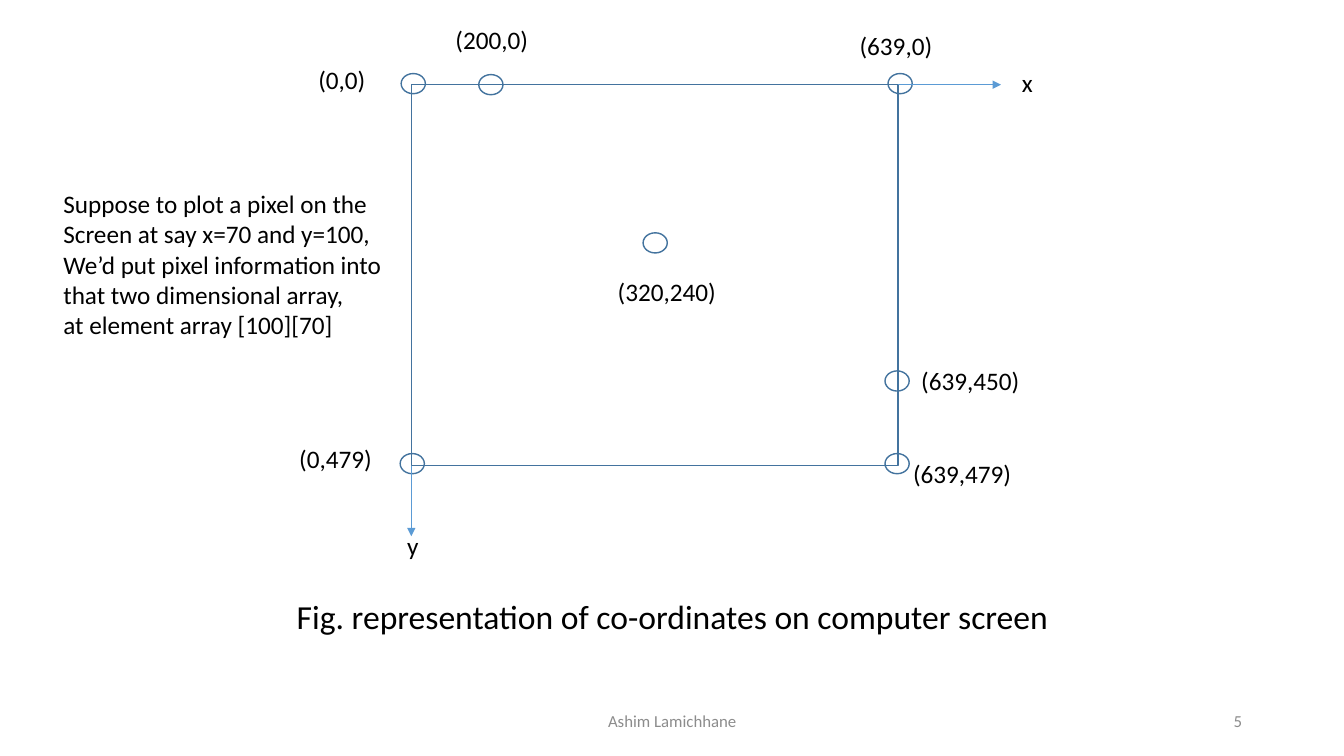
from lxml import etree
from pptx import Presentation, util as u
from pptx.dml.color import RGBColor
from pptx.enum import shapes, text
from pptx.oxml import ns

CELL = u.Inches(0.1)  # the slide is a grid of 133.33 columns by 75 rows
LEFT, RIGHT, MID = text.PP_ALIGN.LEFT, text.PP_ALIGN.RIGHT, text.PP_ALIGN.CENTER
EDGE, AXIS, BLACK, GREY = "43739E", "5B9BD5", "000000", "8C8C8C"


def grid(*cells):
    """Turn grid columns and rows into lengths."""
    return [round(c * CELL) for c in cells]


def write(spot, words, size=18, hue=BLACK, align=LEFT, wrap=False):
    """Add a text box; wrapped boxes are centred vertically."""
    box = slide.shapes.add_textbox(*grid(*spot))
    frame = box.text_frame
    frame.text = words
    frame.word_wrap = wrap
    if wrap:
        frame.vertical_anchor = text.MSO_ANCHOR.MIDDLE
    else:
        frame.auto_size = text.MSO_AUTO_SIZE.SHAPE_TO_FIT_TEXT
    for para in frame.paragraphs:
        para.alignment = align
        for run in para.runs:
            run.font.name = "Calibri"
            run.font.size = u.Pt(size)
            run.font.color.rgb = RGBColor.from_string(hue)
    return box


deck = Presentation()
deck.slide_width, deck.slide_height = grid(133.33, 75)
slide = deck.slides.add_slide(deck.slide_layouts[6])

# Caption and footer
title = write((9.2, 58, 115, 6.7),
              "Fig. representation of co-ordinates on computer screen",
              24, align=MID, wrap=True)
title.text_frame.paragraphs[0].line_spacing = 0.9
write((44.2, 69.5, 45, 4), "Ashim Lamichhane", 12, GREY, MID, True)
write((94.2, 69.5, 30, 4), "5", 12, GREY, RIGHT, True)

# Screen outline, then a ring on each marked pixel
west, north, wide, high = 40.8, 8.4, 48.3, 37.8
east, south = west + wide, north + high
ring_w, ring_h = 2.4, 2
rings = [(48.7, 8.4), (41, 8.3), (89.3, 8.3), (65, 24.1),
         (89, 37.8), (89, 46), (40.9, 46)]
kind = shapes.MSO_SHAPE
marks = [(kind.RECTANGLE, (west, north, wide, high))]
marks += [(kind.OVAL, (x - ring_w / 2, y - ring_h / 2, ring_w, ring_h))
          for x, y in rings]
for form, spot in marks:
    mark = slide.shapes.add_shape(form, *grid(*spot))
    mark.shadow.inherit = False
    mark.fill.background()
    mark.line.color.rgb = RGBColor.from_string(EDGE)
    mark.line.width = u.Pt(1)

# Axes
for ends in [(east, north, 99.3, north), (west, south, west, 53.2)]:
    axis = slide.shapes.add_connector(shapes.MSO_CONNECTOR.STRAIGHT, *grid(*ends))
    axis.line.color.rgb = RGBColor.from_string(AXIS)
    axis.line.width = u.Pt(0.5)
    etree.SubElement(axis.line._get_or_add_ln(), ns.qn("a:tailEnd"), type="triangle")
    etree.SubElement(axis._element.spPr, ns.qn("a:effectLst"))

# Labels: left, top, width, words
labels = [
    (30.6, 5.9, 6.8, "(0,0)"),
    (44.2, 1.9, 9.3, "(200,0)"),
    (84.3, 2.5, 9.3, "(639,0)"),
    (28.7, 43.5, 9.3, "(0,479)"),
    (60.3, 26.9, 11.9, "(320,240)"),
    (90.4, 35.8, 11.9, "(639,450)"),
    (89.6, 45, 11.9, "(639,479)"),
    (100.4, 6.2, 3.1, "x"),
    (39.4, 52.1, 3.2, "y"),
]
for x, y, w, words in labels:
    write((x, y, w, 4), words)

story = ["Suppose to plot a pixel on the",
         "Screen at say x=70 and y=100,",
         "We’d put pixel information into ",
         "that two dimensional array,",
         "at element array [100][70]"]
write((5.3, 18.2, 34.5, 16.2), "\n".join(story))

deck.save("out.pptx")
